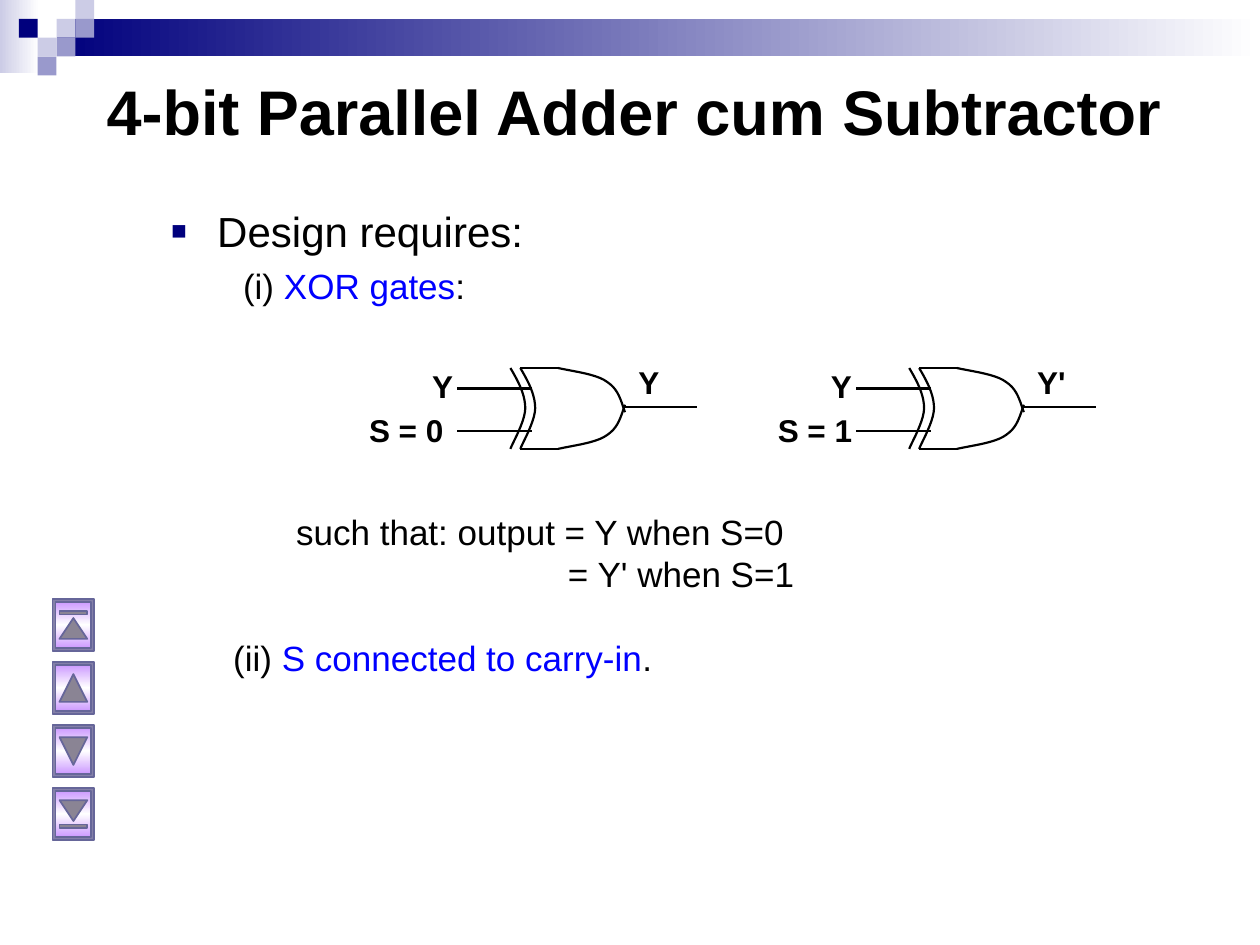
import copy
import lxml.etree
import pptx
import pptx.dml.color
import pptx.enum.shapes
import pptx.enum.text
import pptx.oxml.ns
import pptx.util

Cm = pptx.util.Cm
Pt = pptx.util.Pt
Kind = pptx.enum.shapes.MSO_SHAPE
tag = pptx.oxml.ns.qn

HUES = {
    "black": "000000", "blue": "0000FF", "navy": "00007D", "mid": "9999CC",
    "pale": "CCCCE6", "white": "FFFFFF", "lilac": "CC99FF", "edge": "666699",
    "icon": "8A8494", "rim": "8480A8",
}
INSET = {
    "margin_left": Cm(0.25), "margin_right": Cm(0.25),
    "margin_top": Cm(0.13), "margin_bottom": Cm(0.13),
}
TITLE = {"name": "Arial", "size": Pt(36), "bold": True}
HEAD = {"name": "Arial", "size": Pt(24), "bold": False}
BODY = {"name": "Arial", "size": Pt(20), "bold": False}
LABEL = {"name": "Arial", "size": Pt(18), "bold": True}


def tint(name):
    return pptx.dml.color.RGBColor.from_string(HUES[name])


def apply(item, form):
    for key, value in form.items():
        setattr(item, key, value)


def blend(shape, names, angle):
    shape.fill.gradient()
    stops = shape.element.xpath(".//a:gsLst")[0]
    for _ in names[2:]:
        stops.append(copy.deepcopy(stops[0]))
    for i, (stop, name) in enumerate(zip(shape.fill.gradient_stops, names)):
        stop.color.rgb = tint(name)
        stop.position = i / (len(names) - 1)
    shape.fill.gradient_angle = angle


def block(slide, box, fill, kind=Kind.RECTANGLE, angle=0, edge=None):
    shape = slide.shapes.add_shape(kind, *map(Cm, box))
    shape.shadow.inherit = False
    if isinstance(fill, str):
        shape.fill.solid()
        shape.fill.fore_color.rgb = tint(fill)
    else:
        blend(shape, fill, angle)
    if edge:
        shape.line.color.rgb = tint(edge)
        shape.line.width = Pt(1)
    else:
        shape.line.fill.background()
    return shape


def write(slide, box, lines, anchor="TOP"):
    frame = slide.shapes.add_textbox(*map(Cm, box)).text_frame
    apply(frame, INSET)
    frame.word_wrap = True
    frame.vertical_anchor = getattr(pptx.enum.text.MSO_ANCHOR, anchor)
    for i, (runs, form, left, gap, mark) in enumerate(lines):
        para = frame.add_paragraph() if i else frame.paragraphs[0]
        props = para._p.get_or_add_pPr()
        props.set("marL", str(Cm(left)))
        props.set("indent", str(-Cm(left) if mark else 0))
        if mark:
            bullet(props, mark)
        if gap:
            para.space_before = Pt(gap)
        for text, name in runs:
            run = para.add_run()
            run.text = text
            apply(run.font, form)
            run.font.color.rgb = tint(name)


def bullet(props, mark):
    color = lxml.etree.SubElement(props, tag("a:buClr"))
    lxml.etree.SubElement(color, tag("a:srgbClr"), val=HUES["navy"])
    lxml.etree.SubElement(props, tag("a:buSzPct"), val="120000")
    lxml.etree.SubElement(props, tag("a:buFont"), typeface="Arial")
    lxml.etree.SubElement(props, tag("a:buChar"), char=mark)


def plain(text, form):
    return [([(text, "black")], form, 0, 0, None)]


def wire(slide, start, end):
    line = slide.shapes.add_connector(
        pptx.enum.shapes.MSO_CONNECTOR.STRAIGHT, *map(Cm, start + end))
    line.line.color.rgb = tint("black")
    line.line.width = Pt(1.25)
    lxml.etree.SubElement(line.element.spPr, tag("a:effectLst"))


def trace(knots, steps=10):
    dots = [knots[0]]
    for k in range(0, len(knots) - 1, 3):
        for s in range(1, steps + 1):
            t = s / steps
            parts = ((1 - t) ** 3, 3 * t * (1 - t) ** 2, 3 * t * t * (1 - t), t ** 3)
            dots.append(tuple(
                sum(w * p[axis] for w, p in zip(parts, knots[k:k + 4]))
                for axis in (0, 1)))
    return dots


def curve(slide, left, top, knots):
    dots = [(Cm(left + x), Cm(top + y)) for x, y in trace(knots)]
    pen = slide.shapes.build_freeform(*dots[0])
    pen.add_line_segments(dots[1:], close=False)
    shape = pen.convert_to_shape()
    shape.shadow.inherit = False
    shape.fill.background()
    shape.line.color.rgb = tint("black")
    shape.line.width = Pt(1.25)


def banner(slide, left, top, unit):
    block(slide, (left, top, 0.79, 1.47), ("pale", "white"))
    block(slide, (left + 3 * unit, top + unit, 24.26, 2 * unit), ("navy", "white"))
    tiles = [(3, 1, "pale"), (4, 0, "pale"), (4, 1, "mid"), (2, 2, "pale"),
             (1, 1, "navy"), (3, 2, "mid"), (2, 3, "mid")]
    for col, row, name in tiles:
        block(slide, (left + col * unit, top + row * unit, unit, unit), name)


def gate(slide, left, top, select, result, shift):
    high = 1.63
    back = [(0, 0), (0.15, 0.25), (0.3, 0.53), (0.3, 0.81),
            (0.3, 1.07), (0.05, 1.5), (0, high)]
    nose = [(2.03, 0), (2.41, 0.08), (2.82, 0.13), (3.02, 0.28),
            (3.25, 0.43), (3.3, 0.66), (3.38, 0.89)]
    for x in (1.07, 1.27):
        curve(slide, left + x, top, back)
    curve(slide, left, top, nose)
    curve(slide, left, top, [(x, high - y) for x, y in nose])
    wires = [(1.27, 2.03, 0), (1.27, 2.03, high),
             (0, 1.5, 0.41), (0, 1.5, 1.27), (3.33, 4.83, 0.79)]
    for start, end, y in wires:
        wire(slide, (left + start, top + y), (left + end, top + y))
    labels = [(select, shift, 0.74, 0.2 - shift),
              (result, 3.4, -0.23, 1.3),
              ("Y", -0.76, -0.15, 0.97)]
    for text, x, y, wide in labels:
        write(slide, (left + x, top + y, wide, 1.02), plain(text, LABEL))


def button(slide, left, top, down, bar):
    wide, high, rim = 0.84, 1.06, 0.06
    block(slide, (left, top, wide, high), "rim", edge="edge")
    block(slide, (left + rim, top + rim, wide - 2 * rim, high - 2 * rim),
          ("lilac", "white", "lilac"), angle=90, edge="edge")
    tall = 0.42 if bar else 0.56
    start = 0.25 if down or not bar else 0.39
    arrow = block(slide, (left + 0.14, top + start, 0.56, tall), "icon",
                  Kind.ISOSCELES_TRIANGLE, edge="edge")
    arrow.rotation = 180 if down else 0
    if bar:
        block(slide, (left + 0.14, top + (0.74 if down else 0.25), 0.56, 0.07),
              "icon", edge="edge")


def main():
    deck = pptx.Presentation()
    apply(deck, {"slide_width": Cm(25.4), "slide_height": Cm(19.05)})
    slide = deck.slides.add_slide(deck.slide_layouts[6])
    banner(slide, 0, 0, 0.38)
    write(slide, (1.9, 0.64, 23.06, 3.18),
          plain("4-bit Parallel Adder cum Subtractor", TITLE), "MIDDLE")
    write(slide, (3.18, 4.01, 21.59, 2.54), [
        ([("Design requires:", "black")], HEAD, 0.95, 0, "▪"),
        ([("(i) ", "black"), ("XOR gates", "blue"), (":", "black")],
         BODY, 1.47, 5, None),
    ])
    write(slide, (3.18, 10.16, 21.39, 3.81), [
        ([("such that: output = Y when S=0", "black")], BODY, 2.54, 0, None),
        ([("= Y' when S=1", "black")], BODY, 8.02, 0, None),
        ([("(ii) ", "black"), ("S connected to carry-in", "blue"), (".", "black")],
         BODY, 1.27, 24, None),
    ])
    gate(slide, 9.22, 7.42, "S = 0", "Y", -2.03)
    gate(slide, 17.26, 7.42, "S = 1", "Y'", -1.83)
    kinds = [(False, True), (False, False), (True, False), (True, True)]
    for i, (down, bar) in enumerate(kinds):
        button(slide, 1.06, 12.07 + 1.27 * i, down, bar)
    deck.save("out.pptx")


if __name__ == "__main__":
    main()
